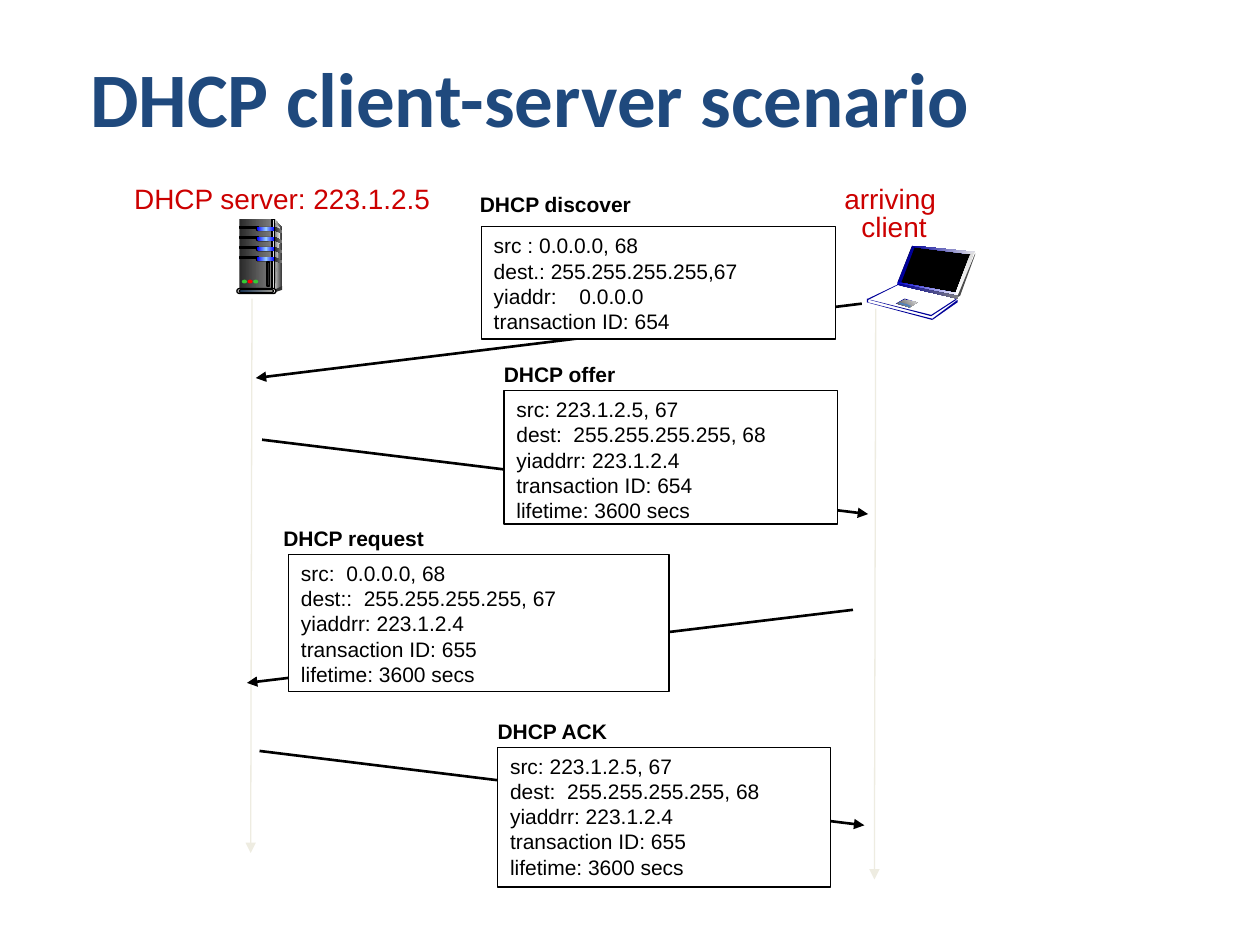
import lxml.etree
import pptx
import pptx.dml.color
import pptx.enum.shapes
import pptx.enum.text
import pptx.oxml.ns
import pptx.util

Inches, Pt = pptx.util.Inches, pptx.util.Pt
RGBColor = pptx.dml.color.RGBColor
Shape = pptx.enum.shapes.MSO_SHAPE
Align = pptx.enum.text.PP_ALIGN
Anchor = pptx.enum.text.MSO_ANCHOR
qn = pptx.oxml.ns.qn

BLACK = RGBColor(0x00, 0x00, 0x00)
WHITE = RGBColor(0xFF, 0xFF, 0xFF)
RED = RGBColor(0xCC, 0x00, 0x00)
TITLE = RGBColor(0x1F, 0x49, 0x7D)
CREAM = RGBColor(0xEE, 0xEC, 0xE1)
NAVY = RGBColor(0x00, 0x00, 0x99)
ROYAL = RGBColor(0x00, 0x00, 0xCC)
BLUE = RGBColor(0x00, 0x00, 0xFF)
SKY = RGBColor(0x99, 0xCC, 0xFF)
STEEL = RGBColor(0x4F, 0x81, 0xBD)
GREEN = RGBColor(0x33, 0xCC, 0x33)
LAMP = RGBColor(0xFF, 0x00, 0x00)
COAL = RGBColor(0x29, 0x29, 0x29)
DARK = RGBColor(0x33, 0x33, 0x33)
SLATE = RGBColor(0x4D, 0x4D, 0x4D)
GREY = RGBColor(0x80, 0x80, 0x80)
PALE = RGBColor(0xDD, 0xDD, 0xDD)
MIST = RGBColor(0xEA, 0xEA, 0xEA)
SNOW = RGBColor(0xF8, 0xF8, 0xF8)
UNIT = Inches(0.01)  # grid step of the two icons

# body box, label offset, arrow start, arrow end, label, lines
MESSAGES = [
    ((3.82, 1.8, 2.81, 0.89), (-0.11, -0.33), (6.84, 2.41), (2.03, 3), "DHCP discover",
     ["src : 0.0.0.0, 68", "dest.: 255.255.255.255,67", "yiaddr:\t0.0.0.0",
      "transaction ID: 654"]),
    ((4, 3.1, 2.65, 1.06), (-0.1, -0.28), (2.08, 3.49), (6.89, 4.08), "DHCP offer",
     ["src: 223.1.2.5, 67", "dest:  255.255.255.255, 68", "yiaddrr: 223.1.2.4",
      "transaction ID: 654", "lifetime: 3600 secs"]),
    ((2.29, 4.4, 3.02, 1.09), (-0.14, -0.28), (6.77, 4.84), (1.96, 5.42), "DHCP request",
     ["src:  0.0.0.0, 68", "dest::  255.255.255.255, 67", "yiaddrr: 223.1.2.4",
      "transaction ID: 655", "lifetime: 3600 secs"]),
    ((3.95, 5.93, 2.64, 1.11), (-0.1, -0.28), (2.06, 5.96), (6.86, 6.55), "DHCP ACK",
     ["src: 223.1.2.5, 67", "dest:  255.255.255.255, 68", "yiaddrr: 223.1.2.4",
      "transaction ID: 655", "lifetime: 3600 secs"]),
]


def paint(shape, fill, line=None, angle=0):
    """Fill with one colour, or with a gradient when given a tuple of colours."""
    shape.shadow.inherit = False
    if isinstance(fill, RGBColor):
        shape.fill.solid()
        shape.fill.fore_color.rgb = fill
    else:
        shape.fill.gradient()
        shape.fill.gradient_angle = angle
        stops = next(shape._element.iter(qn("a:gsLst")))
        for stop in list(stops):
            stops.remove(stop)
        for i, color in enumerate(fill):
            stop = lxml.etree.SubElement(stops, qn("a:gs"), pos=str(100000 * i // (len(fill) - 1)))
            lxml.etree.SubElement(stop, qn("a:srgbClr"), val=str(color))
    if line is None:
        shape.line.fill.background()
    else:
        shape.line.color.rgb = line
        shape.line.width = Pt(0.75)


def write(frame, lines, size, color, bold=False, align=Align.LEFT, space=None):
    frame.text = "\n".join(lines)
    for para in frame.paragraphs:
        para.alignment = align
        if space:
            para.line_spacing = space
        if "\t" in para.text:
            tabs = lxml.etree.SubElement(para._p.get_or_add_pPr(), qn("a:tabLst"))
            lxml.etree.SubElement(tabs, qn("a:tab"), pos=str(Inches(0.68)), algn="l")
        for run in para.runs:
            font = run.font
            font.name, font.size, font.bold = "Arial", Pt(size), bold
            font.color.rgb = color


def arrow(slide, start, end, color, width):
    line = slide.shapes.add_connector(
        pptx.enum.shapes.MSO_CONNECTOR.STRAIGHT, *map(Inches, start + end))
    line.line.color.rgb = color
    line.line.width = Pt(width)
    lxml.etree.SubElement(line.line._get_or_add_ln(), qn("a:tailEnd"), type="triangle")
    lxml.etree.SubElement(line._element.spPr, qn("a:effectLst"))


def panel(slide, box, lines, line=None, bold=False):
    shape = slide.shapes.add_shape(Shape.RECTANGLE, *map(Inches, box))
    paint(shape, WHITE, line)
    shape.text_frame.word_wrap = True
    shape.text_frame.vertical_anchor = Anchor.TOP
    write(shape.text_frame, lines, 12, BLACK, bold)


def message(slide, box, shift, start, end, label, lines):
    arrow(slide, start, end, BLACK, 1.5)
    panel(slide, (box[0] + shift[0], box[1] + shift[1], 1.55, 0.36), [label], bold=True)
    panel(slide, box, lines, BLACK)


def caption(slide, box, lines, space=None):
    frame = slide.shapes.add_textbox(*map(Inches, box)).text_frame
    frame.word_wrap = False
    write(frame, lines, 16, RED, align=Align.CENTER, space=space)


def outline(group, left, top, points, fill, line=None, angle=0):
    pen = group.shapes.build_freeform(*points[0], scale=UNIT)
    pen.add_line_segments(points[1:])
    paint(pen.convert_to_shape(Inches(left), Inches(top)), fill, line, angle)


def laptop(slide, left, top):
    group = slide.shapes.add_group_shape()
    parts = [
        ([(36, 1), (25, 29), (72, 40), (84, 6)], BLACK, BLACK, 0),
        ([(36, 0), (86, 5), (85, 7), (36, 1)], (NAVY, MIST), None, 0),
        ([(36, 0), (24, 30), (27, 30), (38, 1)], NAVY, None, 0),
        ([(85, 5), (73, 40), (70, 39), (82, 7)], (PALE, WHITE), None, 270),
        ([(25, 29), (24, 30), (72, 40), (73, 38)], (ROYAL, WHITE), None, 0),
        ([(86, 6), (86, 7), (74, 40), (72, 40)], SLATE, None, 0),
        ([(24, 30), (24, 31), (72, 42), (73, 40)], (NAVY, GREY), None, 0),
        ([(30, 42), (40, 45), (34, 49), (23, 46)], NAVY, None, 0),
        ([(30, 43), (40, 45), (34, 49), (24, 46)], (SLATE, PALE), None, 45),
        ([(25, 46), (26, 45), (30, 46), (29, 47)], STEEL, None, 0),
        ([(29, 47), (31, 46), (35, 48), (34, 49)], STEEL, None, 0),
        ([(52, 58), (72, 43), (72, 45), (52, 59)], NAVY, None, 0),
        ([(0, 45), (1, 45), (52, 58), (52, 59)], NAVY, None, 0),
        ([(1, 42), (1, 45), (0, 45), (0, 42)], NAVY, None, 0),
        ([(24, 31), (1, 42), (1, 43), (25, 31)], NAVY, None, 0),
        ([(2, 43), (3, 43), (51, 55), (51, 56)], NAVY, None, 0),
        ([(51, 56), (71, 43), (71, 42), (51, 55)], NAVY, None, 0),
    ]
    for points, *style in parts:
        outline(group, left, top, points + points[:1], *style)


def server(slide, left, top):
    group = slide.shapes.add_group_shape()

    def block(kind, x, y, wide, high, fill, line=None):
        shape = group.shapes.add_shape(
            kind, Inches(left) + round(x * UNIT), Inches(top) + round(y * UNIT),
            round(wide * UNIT), round(high * UNIT))
        if kind == Shape.ROUNDED_RECTANGLE:
            shape.adjustments[0] = 0.5
        paint(shape, fill, line)

    def side(points, fill):
        outline(group, left, top, points + points[:1], fill)

    side([(30, 0), (36, 7), (36, 54), (29, 56)], (PALE, DARK))
    block(Shape.RECTANGLE, 2, 0, 27, 56, (COAL, GREY))
    side([(30, 3), (35, 8), (32, 30), (30, 54)], (GREY, SNOW))
    block(Shape.RECTANGLE, 28, 0, 2, 56, (DARK, PALE, DARK), BLACK)
    for y in range(6, 31, 8):
        block(Shape.RECTANGLE, 2, y, 15, 1, BLACK, BLACK)
        block(Shape.ROUNDED_RECTANGLE, 15, y, 15, 3.5, BLACK)
        block(Shape.ROUNDED_RECTANGLE, 16, y, 14, 3, (BLUE, SKY, BLUE))
        side([(30, y), (36, y + 3), (36, y + 5), (30, y + 3)], (COAL, GREY))
    side([(30, 56), (30, 58), (36, 56), (36, 53)], DARK)
    block(Shape.ROUNDED_RECTANGLE, 0, 55, 31, 4, PALE, BLACK)
    block(Shape.ROUNDED_RECTANGLE, 2, 56, 27, 2, (TITLE, CREAM), BLACK)
    for i, color in enumerate((GREEN, LAMP, GREEN)):
        block(Shape.OVAL, 4 + 4.5 * i, 48, 4, 3, color)
    block(Shape.RECTANGLE, 24, 34, 2, 19, COAL, BLACK)


def heading(slide, box):
    title = slide.shapes.title
    title.left, title.top, title.width, title.height = map(Inches, box)
    frame = title.text_frame
    frame.text = "DHCP client-server scenario"
    frame.vertical_anchor = Anchor.MIDDLE
    frame.paragraphs[0].alignment = Align.CENTER
    font = frame.paragraphs[0].runs[0].font
    font.name, font.size, font.bold = "Calibri", Pt(44), True
    font.color.rgb = TITLE


def main():
    deck = pptx.Presentation()
    deck.slide_width, deck.slide_height = Inches(10), Inches(7.5)
    slide = deck.slides.add_slide(deck.slide_layouts[5])
    heading(slide, (0.48, 0.28, 7.46, 0.98))
    caption(slide, (0.96, 1.39, 2.56, 0.37), ["DHCP server: 223.1.2.5"])
    caption(slide, (6.6, 1.43, 0.93, 0.56), ["arriving", " client"], 0.85)
    arrow(slide, (2, 2.37), (1.99, 6.77), CREAM, 0.75)
    arrow(slide, (6.95, 2.45), (6.94, 6.98), CREAM, 0.75)
    for item in MESSAGES:
        message(slide, *item)
    laptop(slide, 6.88, 1.95)
    server(slide, 1.88, 1.74)
    deck.save("out.pptx")


if __name__ == "__main__":
    main()
